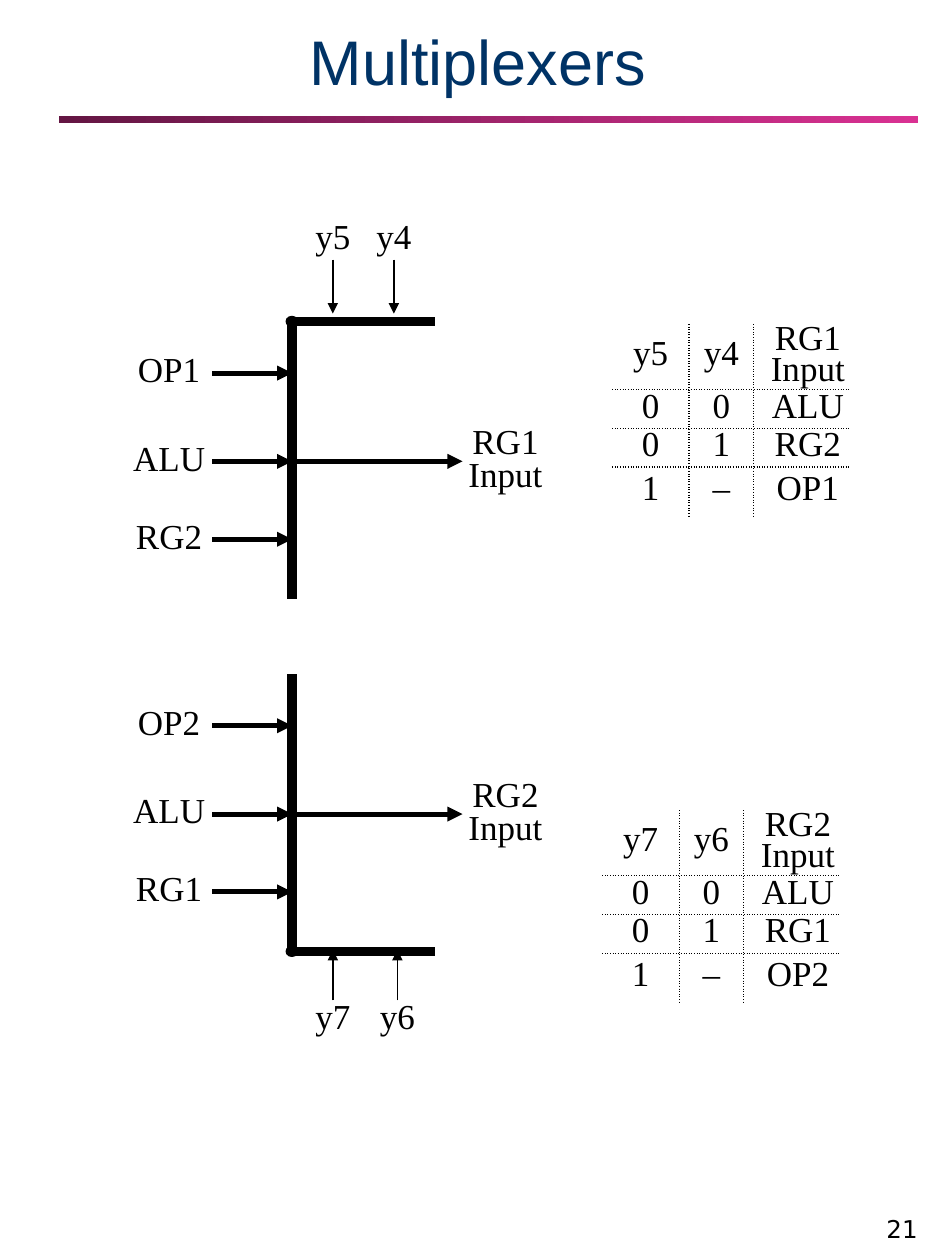
"""Build the slide on multiplexers and their control tables."""

from dataclasses import dataclass
from typing import Optional

from lxml.etree import SubElement
from pptx import Presentation
from pptx.dml.color import RGBColor
from pptx.enum.shapes import MSO_CONNECTOR, MSO_SHAPE
from pptx.enum.text import MSO_ANCHOR, MSO_AUTO_SIZE, PP_ALIGN
from pptx.oxml import parse_xml
from pptx.oxml.ns import nsdecls, qn
from pptx.shapes.autoshape import Shape
from pptx.shapes.connector import Connector
from pptx.slide import Slide
from pptx.table import _Cell
from pptx.text.text import _Paragraph
from pptx.util import Cm, Pt

BLACK = "000000"
NO_TABLE_STYLE = "{2D5ABB26-0587-4C30-8999-92F81FD0307C}"
BAR_X, BAR_END_X = 5.89, 8.76
BAR_TOP, BAR_BOTTOM = -2.82, 2.77
INPUT_OFFSETS = (-1.78, 0, 1.57)
INPUT_CENTRE_X, OUTPUT_CENTRE_X = 3.41, 10.19
WIDE, NARROW = 1.73, 0.94
ONE_LINE, TWO_LINES = 0.79, 1.55
BAR_WEIGHT, SIGNAL_WEIGHT, THIN_WEIGHT = 5.64, 2.86, 0.75
COLUMN_WIDTHS = (1.55, 1.30, 1.96)
ROW_HEIGHTS = (1.32, 0.78, 0.78, 0.99)


@dataclass(frozen=True)
class Multiplexer:
    """One multiplexer drawing with its signals and the place of its table."""

    inputs: tuple[str, str, str]
    output: str
    controls: tuple[str, str]
    control_centres: tuple[float, float]
    control_label_y: float
    control_tip_y: float
    control_side: int
    centre_y: float
    corner_offset: float
    table_left: float
    table_top: float

    def table_rows(self) -> tuple[tuple[str, str, str], ...]:
        """Return the header and the selection rows of the control table."""
        operand, arithmetic, register = self.inputs
        return (
            (*self.controls, self.output),
            ("0", "0", arithmetic),
            ("0", "1", register),
            ("1", "–", operand),
        )


MULTIPLEXERS = (
    Multiplexer(("OP1", "ALU", "RG2"), "RG1 Input", ("y5", "y4"), (6.71, 7.94),
                4.84, 6.32, 2, 9.30, BAR_TOP, 12.34, 6.53),
    Multiplexer(("OP2", "ALU", "RG1"), "RG2 Input", ("y7", "y6"), (6.71, 8.01),
                20.56, 19.15, 0, 16.41, BAR_BOTTOM, 12.14, 16.33),
)


def color(value: str) -> RGBColor:
    """Turn a hex string into a colour."""
    return RGBColor.from_string(value)


def format_paragraph(paragraph: _Paragraph, size: float, font_name: str, hex_color: str,
                     alignment: PP_ALIGN, line_spacing: float = 1.0) -> None:
    """Apply font and layout to a paragraph."""
    paragraph.alignment = alignment
    paragraph.line_spacing = line_spacing
    paragraph.font.size = Pt(size)
    paragraph.font.name = font_name
    paragraph.font.bold = False
    paragraph.font.color.rgb = color(hex_color)


def format_signal(paragraph: _Paragraph) -> None:
    """Format a paragraph that names a signal or a value."""
    format_paragraph(paragraph, 20, "Times New Roman", BLACK, PP_ALIGN.CENTER, 0.78)


def add_label(slide: Slide, text: str, centre_x: float, centre_y: float,
              width: float, height: float) -> Shape:
    """Add a signal label around a centre point."""
    label = slide.shapes.add_textbox(Cm(centre_x - width / 2), Cm(centre_y - height / 2),
                                     Cm(width), Cm(height))
    frame = label.text_frame
    frame.word_wrap = True
    frame.margin_left = frame.margin_right = frame.margin_top = frame.margin_bottom = 0
    frame.vertical_anchor = MSO_ANCHOR.MIDDLE
    frame.text = text
    format_signal(frame.paragraphs[0])
    return label


def add_line(slide: Slide, start: tuple[float, float], end: tuple[float, float],
             weight: float, arrow: bool = False) -> Connector:
    """Add a black straight line, with an arrowhead at its end if asked."""
    line = slide.shapes.add_connector(MSO_CONNECTOR.STRAIGHT, *map(Cm, start + end))
    line.line.color.rgb = color(BLACK)
    line.line.width = Pt(weight)
    properties = line._element.spPr
    if arrow:
        SubElement(properties.find(qn("a:ln")), qn("a:tailEnd"), type="triangle")
    SubElement(properties, qn("a:effectLst"))
    return line


def add_solid(slide: Slide, kind: MSO_SHAPE, left: float, top: float, width: float,
              height: float, fill: Optional[str] = None) -> Shape:
    """Add a shape without shadow, filled and outlined if a colour is given."""
    shape = slide.shapes.add_shape(kind, Cm(left), Cm(top), Cm(width), Cm(height))
    shape.shadow.inherit = False
    if fill is None:
        shape.line.fill.background()
    else:
        shape.fill.solid()
        shape.fill.fore_color.rgb = color(fill)
        shape.line.color.rgb = color(fill)
        shape.line.width = Pt(THIN_WEIGHT)
    return shape


def add_heading(slide: Slide) -> None:
    """Fill the title and draw the gradient rule under it."""
    title = slide.shapes.title
    title.left, title.top, title.width, title.height = Cm(0.84), Cm(-1.17), Cm(17.58), Cm(3.3)
    title.text_frame.text = "Multiplexers"
    title.text_frame.auto_size = MSO_AUTO_SIZE.NONE
    title.text_frame.vertical_anchor = MSO_ANCHOR.BOTTOM
    format_paragraph(title.text_frame.paragraphs[0], 36, "Arial", "003366",
                     PP_ALIGN.CENTER, 0.93)
    rule = add_solid(slide, MSO_SHAPE.RECTANGLE, 1.19, 2.34, 17.32, 0.15)
    rule.fill.gradient()
    rule.fill.gradient_angle = 180
    for stop, value in zip(rule.fill.gradient_stops, ("D93192", "641643")):
        stop.color.rgb = color(value)


def add_page_number(slide: Slide) -> None:
    """Add the page number in the lower right corner."""
    box = slide.shapes.add_textbox(Cm(16.41), Cm(24.1), Cm(2.34), Cm(1.09))
    box.text_frame.word_wrap = True
    box.text_frame.vertical_anchor = MSO_ANCHOR.BOTTOM
    box.text_frame.text = "21"
    format_paragraph(box.text_frame.paragraphs[0], 14, "DejaVu Sans", BLACK, PP_ALIGN.RIGHT)


def add_multiplexer(slide: Slide, multiplexer: Multiplexer) -> None:
    """Draw the bar of a multiplexer with its inputs, output and controls."""
    centre_y = multiplexer.centre_y
    corner_y = centre_y + multiplexer.corner_offset
    output = add_label(slide, multiplexer.output, OUTPUT_CENTRE_X, centre_y, WIDE, TWO_LINES)
    arrow = add_line(slide, (BAR_X, centre_y), (OUTPUT_CENTRE_X - WIDE / 2, centre_y),
                     SIGNAL_WEIGHT, True)
    arrow.end_connect(output, 1)
    add_line(slide, (BAR_X, centre_y + BAR_TOP), (BAR_X, centre_y + BAR_BOTTOM), BAR_WEIGHT)
    add_line(slide, (BAR_X, corner_y), (BAR_END_X, corner_y), BAR_WEIGHT)
    add_solid(slide, MSO_SHAPE.OVAL, BAR_X - 0.12, corner_y - 0.1, 0.23, 0.2, BLACK)
    for name, offset in zip(multiplexer.inputs, INPUT_OFFSETS):
        y = centre_y + offset
        label = add_label(slide, name, INPUT_CENTRE_X, y, WIDE, ONE_LINE)
        arrow = add_line(slide, (INPUT_CENTRE_X, y), (BAR_X, y), SIGNAL_WEIGHT, True)
        arrow.begin_connect(label, 3)
    for name, x in zip(multiplexer.controls, multiplexer.control_centres):
        label = add_label(slide, name, x, multiplexer.control_label_y, NARROW, ONE_LINE)
        arrow = add_line(slide, (x, multiplexer.control_label_y),
                         (x, multiplexer.control_tip_y), THIN_WEIGHT, True)
        arrow.begin_connect(label, multiplexer.control_side)


def set_inner_borders(cell: _Cell, row: int, column: int) -> None:
    """Give a cell dotted borders on the sides it shares with other cells."""
    sides = {"lnL": column > 0, "lnR": column < len(COLUMN_WIDTHS) - 1,
             "lnT": row > 0, "lnB": row < len(ROW_HEIGHTS) - 1}
    properties = cell._tc.get_or_add_tcPr()
    for position, side in enumerate(name for name, shared in sides.items() if shared):
        properties.insert(position, parse_xml(
            f'<a:{side} {nsdecls("a")} w="{Pt(THIN_WEIGHT)}"><a:solidFill>'
            f'<a:srgbClr val="{BLACK}"/></a:solidFill><a:prstDash val="sysDot"/></a:{side}>'))


def add_control_table(slide: Slide, multiplexer: Multiplexer) -> None:
    """Add the table of control values and the input they select."""
    frame = slide.shapes.add_table(
        len(ROW_HEIGHTS), len(COLUMN_WIDTHS), Cm(multiplexer.table_left),
        Cm(multiplexer.table_top), Cm(sum(COLUMN_WIDTHS)), Cm(sum(ROW_HEIGHTS)))
    table = frame.table
    table.first_row = table.horz_banding = False
    next(frame._element.iter(qn("a:tableStyleId"))).text = NO_TABLE_STYLE
    for column, width in zip(table.columns, COLUMN_WIDTHS):
        column.width = Cm(width)
    for row, height in zip(table.rows, ROW_HEIGHTS):
        row.height = Cm(height)
    for row_index, values in enumerate(multiplexer.table_rows()):
        for column_index, value in enumerate(values):
            cell = table.cell(row_index, column_index)
            cell.margin_left = Cm(0.23 if column_index == 2 else 0)
            cell.margin_right = cell.margin_top = cell.margin_bottom = 0
            cell.vertical_anchor = MSO_ANCHOR.MIDDLE
            cell.fill.background()
            cell.text = value
            format_signal(cell.text_frame.paragraphs[0])
            set_inner_borders(cell, row_index, column_index)


def main() -> None:
    """Build and save the presentation."""
    presentation = Presentation()
    presentation.slide_width, presentation.slide_height = Cm(19.05), Cm(25.4)
    slide = presentation.slides.add_slide(presentation.slide_layouts[5])
    add_heading(slide)
    add_page_number(slide)
    for multiplexer in MULTIPLEXERS:
        add_multiplexer(slide, multiplexer)
        add_control_table(slide, multiplexer)
    presentation.save("out.pptx")


if __name__ == "__main__":
    main()
